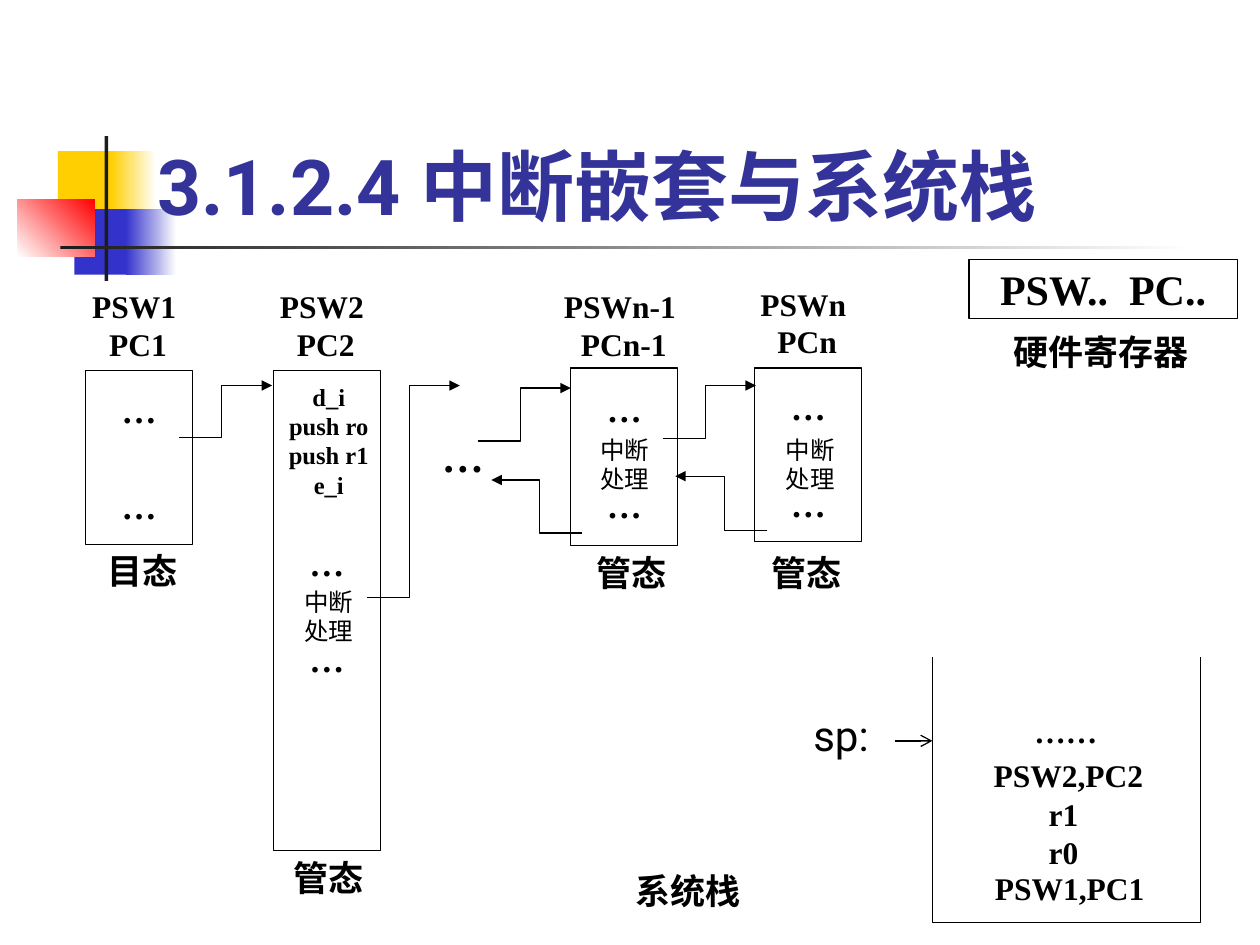
"""Build the slide on nested interrupts and the system stack."""
from lxml import etree
from pptx import Presentation
from pptx.dml.color import RGBColor
from pptx.enum.shapes import MSO_CONNECTOR, MSO_SHAPE
from pptx.enum.text import MSO_ANCHOR, PP_ALIGN
from pptx.oxml.ns import qn
from pptx.util import Inches, Pt

RECTANGLE, STRAIGHT = MSO_SHAPE.RECTANGLE, MSO_CONNECTOR.STRAIGHT
LEFT, CENTER = PP_ALIGN.LEFT, PP_ALIGN.CENTER
TOP, MIDDLE, BOTTOM = MSO_ANCHOR.TOP, MSO_ANCHOR.MIDDLE, MSO_ANCHOR.BOTTOM

BLACK, WHITE = RGBColor(0, 0, 0), RGBColor(255, 255, 255)
CHARCOAL, TITLE_BLUE = RGBColor(0x1C, 0x1C, 0x1C), RGBColor(0x33, 0x33, 0x99)
YELLOW, BLUE = RGBColor(0xFF, 0xCF, 0x01), RGBColor(0x33, 0x33, 0xCC)
RED = RGBColor(255, 0, 0)

SERIF, SANS = "Times New Roman", "Roboto"
HEADING = {"name": SERIF, "size": Pt(18), "bold": True}
STATE = {"name": SERIF, "size": Pt(20), "bold": True}
CODE = {"name": SERIF, "size": Pt(14), "bold": True}
LARGE = {"name": SERIF, "size": Pt(24), "bold": True}
CAPTION = {"name": SANS, "size": Pt(20), "bold": True}
HANDLER = {"name": SANS, "size": Pt(14), "bold": False}
POINTER = {"name": SANS, "size": Pt(24), "bold": False}
TITLE = {"name": SANS, "size": Pt(44), "bold": True}

DECORATIONS = [
    ((0.46, 1.2, 0.48, 0.52), (YELLOW,), 0),
    ((0.88, 1.2, 0.36, 0.52), (YELLOW, WHITE), 0),
    ((0.59, 1.66, 0.46, 0.52), (BLUE,), 0),
    ((1, 1.66, 0.4, 0.52), (BLUE, WHITE), 0),
    ((0.14, 1.58, 0.61, 0.46), (WHITE, RED), 45),
    ((0.83, 1.08, 0.03, 1.15), (CHARCOAL,), 0),
    ((0.48, 1.95, 9, 0.03), (CHARCOAL, WHITE), 0),
]
PROCESS_WIDTH, ELLIPSIS_GAP = 0.85, Pt(31)
PROCESSES = [
    (0.68, 2.94, 1.38),
    (2.17, 2.94, 3.81),
    (4.53, 2.92, 1.41),
    (5.99, 2.92, 1.38),
]
LABELS = [
    ((0.59, 2.23, 0.95, 0.7), ["PSW1", " PC1"], HEADING),
    ((2.08, 2.23, 0.95, 0.7), ["PSW2", " PC2"], HEADING),
    ((4.37, 2.23, 1.1, 0.7), ["PSWn-1", " PCn-1"], HEADING),
    ((5.9, 2.21, 0.95, 0.7), ["PSWn", " PCn"], HEADING),
    ((0.7, 4.31, 0.86, 0.44), ["目态"], STATE),
    ((2.18, 6.75, 0.86, 0.44), ["管态"], STATE),
    ((4.55, 4.33, 0.92, 0.44), ["管态"], STATE),
    ((5.97, 4.33, 0.86, 0.44), ["管态"], STATE),
    ((2.18, 2.98, 0.86, 1.04), ["d_i", "push ro", "push r1", "e_i"], CODE),
    ((2.18, 4.61, 0.86, 0.57), ["中断", "处理"], HANDLER),
    ((4.53, 3.4, 0.86, 0.57), ["中断", "处理"], HANDLER),
    ((6, 3.4, 0.86, 0.57), ["中断", "处理"], HANDLER),
    ((7.64, 5.6, 1.64, 0.4), ["……"], HEADING),
    ((7.66, 5.95, 1.64, 0.4), ["PSW2,PC2"], HEADING),
    ((7.9, 6.26, 1.08, 0.7), ["r1", "r0"], HEADING),
    ((7.67, 6.85, 1.64, 0.4), ["PSW1,PC1"], HEADING),
    ((6.33, 5.58, 0.69, 0.5), ["sp:"], POINTER),
    ((4.92, 6.85, 1.08, 0.44), ["系统栈"], CAPTION),
]
ELBOW_RUN = 0.34
ELBOWS = [
    ((1.42, 3.47), (2.16, 3.06)),
    ((2.91, 4.74), (3.65, 3.06)),
    ((3.79, 3.5), (4.53, 3.08)),
    ((5.26, 3.48), (6, 3.06)),
    ((6.09, 4.21), (5.36, 3.78)),
    ((4.62, 4.23), (3.9, 3.81)),
]


def inches(values):
    return [Inches(value) for value in values]


def write(shape, lines, style, color=BLACK, align=CENTER, anchor=TOP, wrap=True, gap=Pt(0)):
    frame = shape.text_frame
    frame.word_wrap, frame.vertical_anchor = wrap, anchor
    for index, line in enumerate(lines):
        paragraph = frame.paragraphs[0] if index == 0 else frame.add_paragraph()
        paragraph.alignment = align
        paragraph.space_before = gap if index else Pt(0)
        run = paragraph.add_run()
        run.text = line
        run.font.color.rgb = color
        for name, value in style.items():
            setattr(run.font, name, value)


def add_text(shapes, box, lines, style, **options):
    write(shapes.add_textbox(*inches(box)), lines, style, **options)


def outline(shape, color=BLACK):
    shape.line.color.rgb = color
    shape.line.width = Pt(0.75)


def add_box(shapes, box, colors=(), angle=0, line=None):
    shape = shapes.add_shape(RECTANGLE, *inches(box))
    shape.shadow.inherit = False
    if len(colors) == 2:
        shape.fill.gradient()
        shape.fill.gradient_angle = angle
        for stop, color in zip(shape.fill.gradient_stops, colors):
            stop.color.rgb = color
    elif colors:
        shape.fill.solid()
        shape.fill.fore_color.rgb = colors[0]
    else:
        shape.fill.background()
    if line is None:
        shape.line.fill.background()
    else:
        outline(shape, line)
    return shape


def add_arrowhead(shape, kind):
    outline(shape)
    etree.SubElement(shape.line._get_or_add_ln(), qn("a:tailEnd"), type=kind)


def add_elbow(shapes, start, end):
    bend = start[0] + (ELBOW_RUN if end[0] > start[0] else -ELBOW_RUN)
    builder = shapes.build_freeform(*inches(start), scale=1.0)
    corners = [(bend, start[1]), (bend, end[1]), end]
    builder.add_line_segments([inches(corner) for corner in corners], close=False)
    shape = builder.convert_to_shape()
    shape.shadow.inherit = False
    shape.fill.background()
    add_arrowhead(shape, "triangle")


def main():
    presentation = Presentation()
    presentation.slide_width, presentation.slide_height = inches((10, 7.5))
    shapes = presentation.slides.add_slide(presentation.slide_layouts[6]).shapes

    for box, colors, angle in DECORATIONS:
        add_box(shapes, box, colors, angle)
    for left, top, height in PROCESSES:
        process = add_box(shapes, (left, top, PROCESS_WIDTH, height), (WHITE,), line=BLACK)
        write(process, ["…", "…"], STATE, anchor=MIDDLE, wrap=False, gap=ELLIPSIS_GAP)
    add_text(shapes, (3.41, 3.37, 0.67, 0.5), ["…"], LARGE, align=LEFT)

    add_box(shapes, (7.4, 5.1, 2.13, 2.22), line=BLACK)
    add_box(shapes, (7.25, 4.82, 2.42, 0.39), (WHITE,), line=WHITE)
    for box, lines, style in LABELS:
        add_text(shapes, box, lines, style)
    for start, end in ELBOWS:
        add_elbow(shapes, start, end)
    pointer = shapes.add_connector(STRAIGHT, *inches((7.1, 5.88, 7.4, 5.88)))
    add_arrowhead(pointer, "arrow")
    etree.SubElement(pointer._element.spPr, qn("a:effectLst"))

    add_text(shapes, (1.15, 0.88, 8.17, 1), ["3.1.2.4 中断嵌套与系统栈"], TITLE,
             color=TITLE_BLUE, align=LEFT, anchor=BOTTOM)
    registers = shapes.add_group_shape().shapes
    register = add_box(registers, (7.69, 2.06, 2.13, 0.47), line=BLACK)
    write(register, ["PSW..  PC.."], LARGE, anchor=MIDDLE, wrap=False)
    add_text(registers, (7.72, 2.57, 2.04, 0.44), ["硬件寄存器"], CAPTION)

    presentation.save("out.pptx")


if __name__ == "__main__":
    main()
